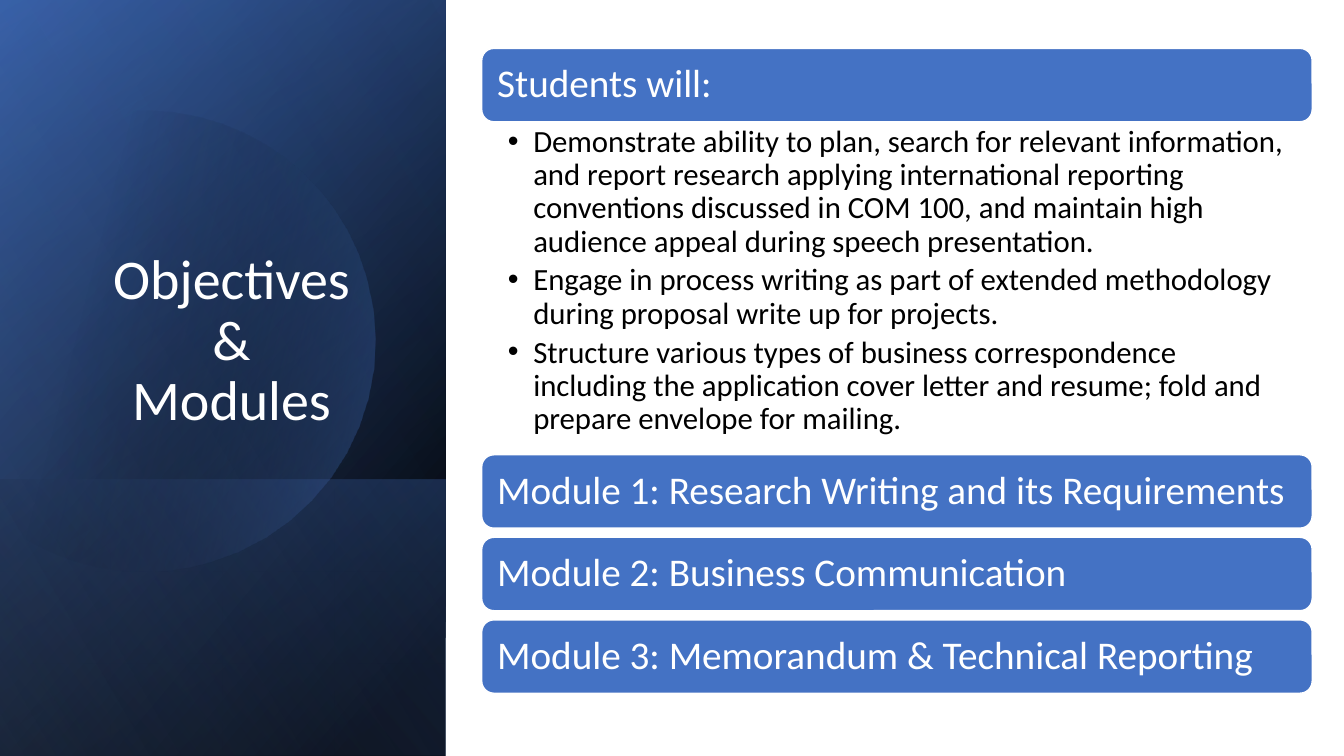
import lxml.etree
import pptx
import pptx.dml.color
import pptx.enum.shapes
import pptx.enum.text
import pptx.oxml.ns
import pptx.util

Cm, Pt = pptx.util.Cm, pptx.util.Pt
qn = pptx.oxml.ns.qn
ANCHOR = pptx.enum.text.MSO_ANCHOR
ALIGN = pptx.enum.text.PP_ALIGN
SHAPE = pptx.enum.shapes.MSO_SHAPE

COLOURS = {"black": "000000", "white": "FFFFFF", "navy": "2F5597",
           "blue": "4472C4", "pale": "8FAADC"}
SLIDE_WIDTH, SLIDE_HEIGHT = 33.87, 19.05
PANEL_WIDTH, FOOT_HEIGHT = 11.23, 6.96

TITLE = ["Objectives", "&", "Modules"]
HEADING = "Students will:"
OBJECTIVES = [
    "Demonstrate ability to plan, search for relevant information, and report research applying international reporting conventions discussed in COM 100, and maintain high audience appeal during speech presentation.",
    "Engage in process writing as part of extended methodology during proposal write up for projects.",
    "Structure various types of business correspondence including the application cover letter and resume; fold and prepare envelope for mailing.",
]
MODULES = [
    "Module 1: Research Writing and its Requirements",
    "Module 2: Business Communication",
    "Module 3: Memorandum & Technical Reporting",
]

BASE_PANELS = [
    (SLIDE_HEIGHT, 50, [(8, "black", 100), (100, "navy", 100)]),
    (SLIDE_HEIGHT, 30, [(0, "black", 0), (99, "blue", 46)]),
    (FOOT_HEIGHT, 130, [(2, "blue", 29), (100, "black", 30)]),
]
TOP_PANEL = (SLIDE_HEIGHT, 120, [(0, "black", 0), (99, "pale", 11)])
CIRCLE_STOPS = [(29, "black", 0), (100, "blue", 43)]
CIRCLE_ANGLE = 14
CIRCLE_START = (3.78, 2.79)
CIRCLE_CURVES = [
    ((6.25, 2.84), (8.51, 4.5), (9.22, 6.99)),
    ((10.11, 10.08), (8.33, 13.29), (5.26, 14.17)),
    ((3.33, 14.73), (1.35, 14.25), (-0.08, 13.06)),
    ((-0.2, 12.96), (-0.3, 12.86), (-0.38, 12.78)),
    ((-0.38, 10), (-0.38, 7.2), (-0.38, 4.45)),
    ((-0.25, 4.32), (-0.12, 4.2), (0, 4.09)),
    ((0.56, 3.61), (1.27, 3.25), (2.03, 3.02)),
    ((2.62, 2.87), (3.2, 2.79), CIRCLE_START),
]
CURVE_STEPS = 12

BAR_LEFT, BAR_WIDTH, BAR_HEIGHT, BAR_PITCH = 12.14, 20.93, 1.85, 2.08
HEADING_TOP, MODULES_TOP = 1.22, 11.46
OBJECTIVES_TOP = HEADING_TOP + BAR_HEIGHT


def set_values(target, values):
    """Set each named value as an attribute of the target."""
    for name, value in values.items():
        setattr(target, name, value)


def paint_gradient(shape, stops, angle):
    """Give a shape a linear gradient with transparency and no outline."""
    shape.shadow.inherit = False
    shape.line.fill.background()
    shape.fill.background()
    gradient = lxml.etree.Element(qn("a:gradFill"), rotWithShape="1")
    stop_list = lxml.etree.SubElement(gradient, qn("a:gsLst"))
    for position, colour, opacity in stops:
        stop = lxml.etree.SubElement(stop_list, qn("a:gs"), pos=str(position * 1000))
        value = lxml.etree.SubElement(stop, qn("a:srgbClr"), val=COLOURS[colour])
        lxml.etree.SubElement(value, qn("a:alpha"), val=str(opacity * 1000))
    lxml.etree.SubElement(gradient, qn("a:lin"), ang=str(angle * 60000), scaled="0")
    properties = shape._element.spPr
    properties.replace(properties.find(qn("a:noFill")), gradient)


def add_panel(slide, height, angle, stops):
    """Add a turned and mirrored gradient panel at the bottom left."""
    left = (PANEL_WIDTH - height) / 2
    top = SLIDE_HEIGHT - (height + PANEL_WIDTH) / 2
    panel = slide.shapes.add_shape(SHAPE.RECTANGLE, Cm(left), Cm(top),
                                   Cm(height), Cm(PANEL_WIDTH))
    panel.rotation = 90
    panel._element.spPr.find(qn("a:xfrm")).set("flipH", "1")
    paint_gradient(panel, stops, angle)


def add_circle(slide):
    """Add the cropped circle traced along its Bézier curves."""
    start, points = CIRCLE_START, []
    for first, second, end in CIRCLE_CURVES:
        for step in range(1, CURVE_STEPS + 1):
            t = step / CURVE_STEPS
            weights = ((1 - t) ** 3, 3 * t * (1 - t) ** 2, 3 * t * t * (1 - t), t ** 3)
            points.append(tuple(
                Cm(sum(weight * point[axis] for weight, point
                       in zip(weights, (start, first, second, end))))
                for axis in (0, 1)))
        start = end
    builder = slide.shapes.build_freeform(Cm(start[0]), Cm(start[1]))
    builder.add_line_segments(points, close=True)
    paint_gradient(builder.convert_to_shape(), CIRCLE_STOPS, CIRCLE_ANGLE)


def write_text(shape, lines, size, colour, frame_format, paragraph_format):
    """Write one formatted paragraph for each line."""
    frame = shape.text_frame
    set_values(frame, {"word_wrap": True, **frame_format})
    frame.text = "\n".join(lines)
    for paragraph in frame.paragraphs:
        set_values(paragraph, {"line_spacing": 0.9, **paragraph_format})
        font = paragraph.runs[0].font
        set_values(font, {"name": "Calibri", "size": Pt(size)})
        font.color.rgb = pptx.dml.color.RGBColor.from_string(COLOURS[colour])


def add_bar(slide, text, top):
    """Add a rounded bar holding one heading."""
    bar = slide.shapes.add_shape(SHAPE.ROUNDED_RECTANGLE, Cm(BAR_LEFT), Cm(top),
                                 Cm(BAR_WIDTH), Cm(BAR_HEIGHT))
    bar.shadow.inherit = False
    bar.fill.solid()
    bar.fill.fore_color.rgb = pptx.dml.color.RGBColor.from_string(COLOURS["blue"])
    bar.line.color.rgb = pptx.dml.color.RGBColor.from_string(COLOURS["white"])
    bar.line.width = Pt(1)
    write_text(bar, [text], 28, "white",
               {"vertical_anchor": ANCHOR.MIDDLE, "margin_left": Cm(0.3),
                "margin_right": Cm(0.3)}, {"alignment": ALIGN.LEFT})


def add_objectives(slide):
    """Add the bulleted list of objectives."""
    box = slide.shapes.add_textbox(Cm(BAR_LEFT), Cm(OBJECTIVES_TOP), Cm(BAR_WIDTH),
                                   Cm(MODULES_TOP - OBJECTIVES_TOP))
    write_text(box, OBJECTIVES, 22, "black",
               {"margin_left": Cm(0.66), "margin_right": Cm(0.56),
                "margin_top": Cm(0.1), "margin_bottom": Cm(0.1)},
               {"space_after": Pt(4)})
    for paragraph in box.text_frame.paragraphs:
        properties = paragraph._p.get_or_add_pPr()
        properties.set("marL", str(Cm(0.64)))
        properties.set("indent", str(-Cm(0.64)))
        lxml.etree.SubElement(properties, qn("a:buFont"), typeface="Arial")
        lxml.etree.SubElement(properties, qn("a:buChar"), char="•")


def main():
    """Build the slide and save it."""
    presentation = pptx.Presentation()
    set_values(presentation, {"slide_width": Cm(SLIDE_WIDTH),
                              "slide_height": Cm(SLIDE_HEIGHT)})
    slide = presentation.slides.add_slide(presentation.slide_layouts[6])
    for panel in BASE_PANELS:
        add_panel(slide, *panel)
    add_circle(slide)
    add_panel(slide, *TOP_PANEL)
    title = slide.shapes.add_textbox(Cm(1.2), Cm(1.63), Cm(9.27), Cm(9.4))
    write_text(title, TITLE, 40, "white", {"vertical_anchor": ANCHOR.BOTTOM},
               {"alignment": ALIGN.CENTER})
    add_bar(slide, HEADING, HEADING_TOP)
    add_objectives(slide)
    for index, module in enumerate(MODULES):
        add_bar(slide, module, MODULES_TOP + index * BAR_PITCH)
    presentation.save("out.pptx")


if __name__ == "__main__":
    main()
